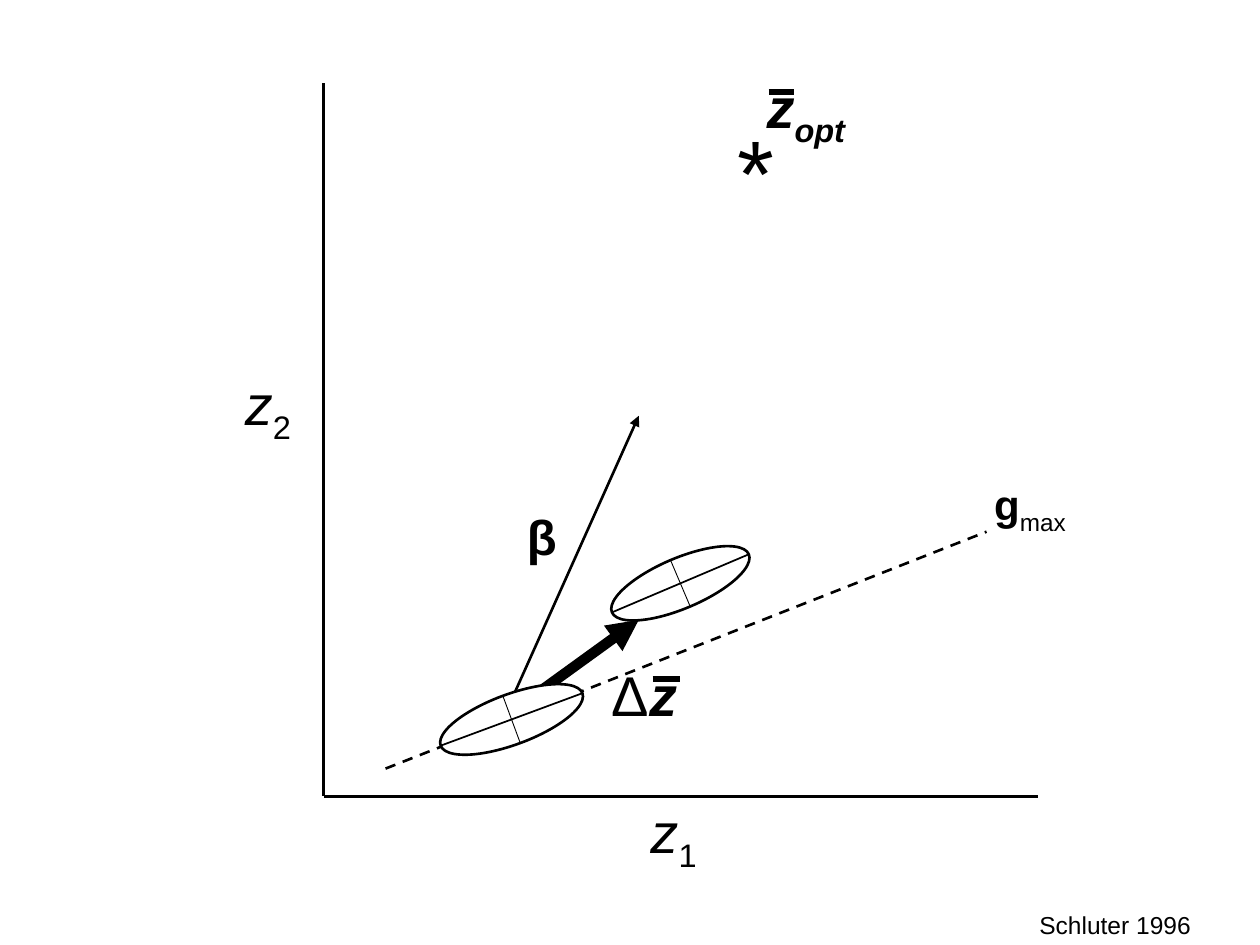
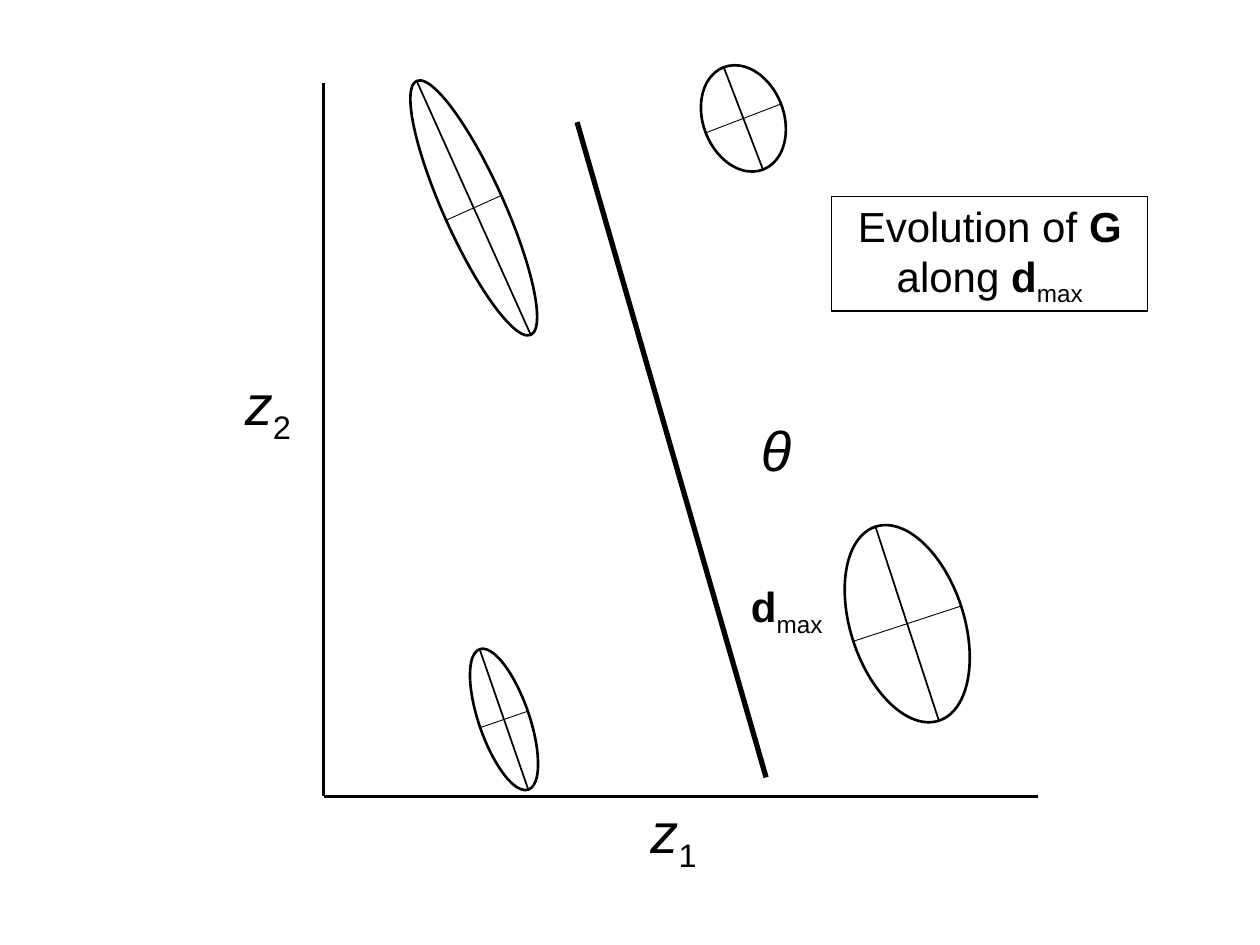
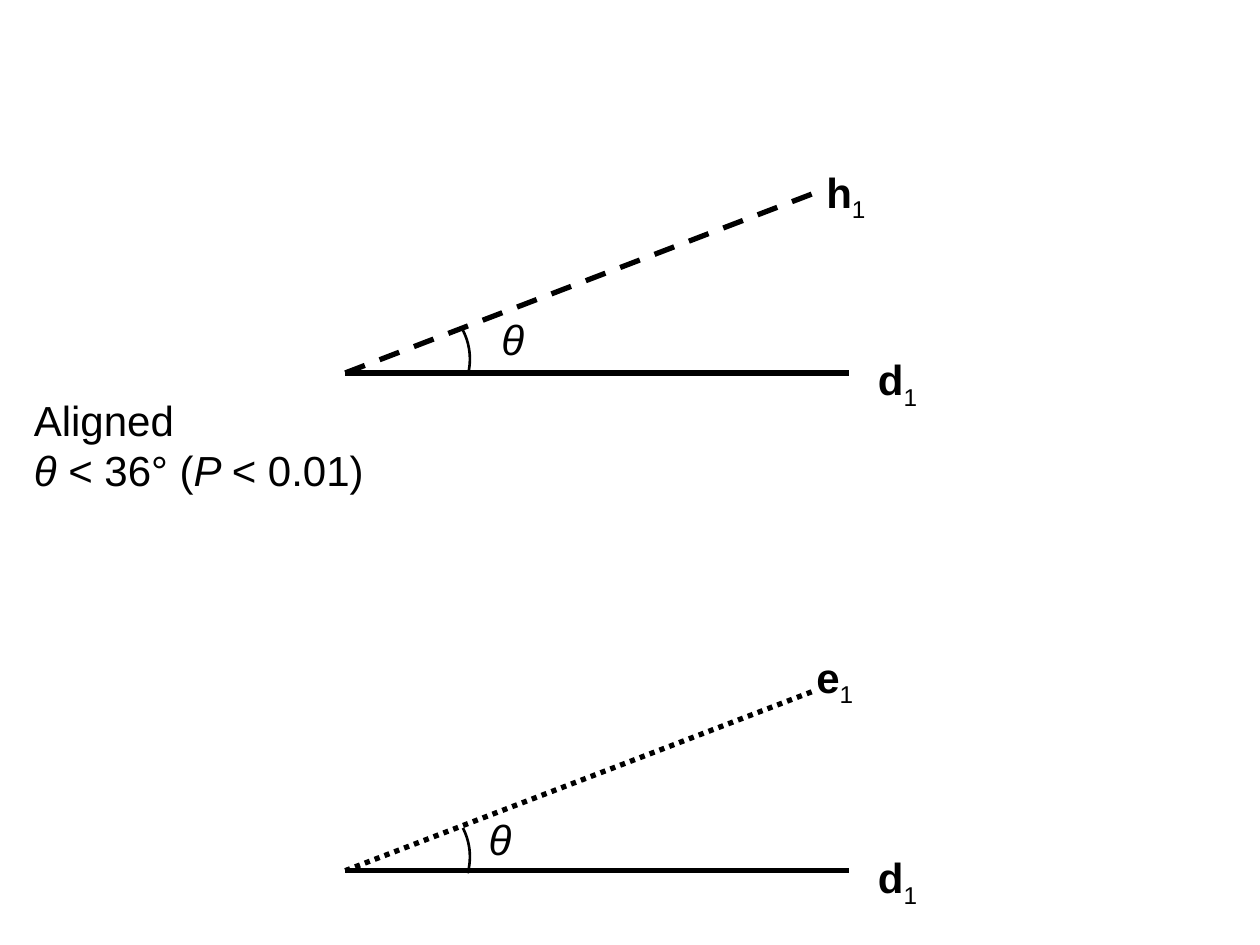
from math import cos, radians, sin

from lxml.etree import SubElement
from pptx import Presentation
from pptx.dml.color import RGBColor
from pptx.enum.dml import MSO_LINE as Dash
from pptx.enum.shapes import MSO_CONNECTOR as Connector, MSO_SHAPE as Preset
from pptx.enum.text import MSO_AUTO_SIZE as AutoSize, PP_ALIGN as Align
from pptx.oxml.ns import qn
from pptx.util import Inches, Pt

BLACK = RGBColor(0, 0, 0)
WHITE = RGBColor(255, 255, 255)
FONT = "Arial"
SUBSCRIPT = "-25000"

# Content shared by the two trait-space slides: (text, style) runs,
# where style letters are b bold, i italic, s subscript
AXES = [((2.57, 0.66), (2.57, 6.32)), ((2.57, 6.32), (8.24, 6.32))]
AXIS_LABELS = [
    ((5.05, 6.28, 0.59, 0.64), [("z", "i"), ("1", "s")]),
    ((1.83, 2.88, 0.59, 0.64), [("z", "i"), ("2", "s")]),
]

# Slide 1: response to selection; ellipses are (centre, size, rotation)
ANCESTOR = ((4.06, 5.71), (1.2, 0.4), -20.3)
DESCENDANT = ((5.4, 4.63), (1.18, 0.4), -23)
BETA_ARROW = ((3.99, 5.71), (5.07, 3.3))
RESPONSE_ARROW = ((3.95, 5.73), (5.07, 4.92))
GMAX_LINE = ((3.06, 6.1), (7.83, 4.22))
MEAN_LABELS = [  # box, runs, bar over the z
    ((5.95, 0.53, 0.89, 0.64), [("z", "bi"), ("opt", "bis")],
     ((6.1, 0.73), (6.3, 0.73))),
    ((4.75, 5.19, 0.73, 0.64), [("Δ", ""), ("z", "bi")],
     ((5.18, 5.39), (5.4, 5.39))),
]
SELECTION_LABELS = [  # box, runs, size
    ((3.93, 3.97, 0.74, 0.57), [("β", "b")], 28),
    ((5.75, 0.85, 0.5, 1.01), [("*", "")], 54),
    ((7.76, 3.75, 0.83, 0.5), [("g", "b"), ("max", "s")], 24),
]
CITATION = ((7.64, 7.2, 2.42, 0.3), [("Schluter 1996", "")])

# Slide 2: evolution of G along dmax
POPULATIONS = [
    ((4, 5.71), (1.18, 0.4), 70.9),
    ((3.76, 1.65), (2.21, 0.48), 65.8),
    ((5.9, 0.94), (0.87, 0.64), 69),
    ((7.2, 4.95), (1.62, 0.9), 71.9),
]
DMAX_LINE = ((4.58, 0.97), (6.08, 6.17))
DMAX_LABEL = ((5.83, 4.56, 0.83, 0.5), [("d", "b"), ("max", "s")])
THETA = [("θ", "i")]
THETA_BOX = (5.94, 3.25, 0.45, 0.64)
CAPTION = ((6.6, 1.56, 2.51, 0.91),
           [("Evolution of ", ""), ("G ", "b"), ("along ", ""), ("d", "b"), ("max", "s")])

# Slide 3: angles between vectors
ANGLES = [  # baseline height, dash, vector, vector label box, theta position
    (2.96, Dash.DASH, "h", (6.46, 1.27, 0.53, 0.5), (3.88, 2.44)),
    (6.91, Dash.ROUND_DOT, "e", (6.38, 5.12, 0.51, 0.5), (3.78, 6.41)),
]
VERTEX, BASE_END, VECTOR_END, RISE = 2.74, 6.74, 6.47, 1.43
ARC_DEGREES = (342.54, 24.88)
ALIGNED_BOX = (0.17, 3.08, 2.84, 0.91)
ALIGNED = [
    [("Aligned", "")],
    [("θ ", "i"), ("< 36° (", ""), ("P ", "i"), ("< 0.01)", "")],
]


def inches(values):
    return [Inches(value) for value in values]


def write(frame, paragraphs, size, align, wrap):
    frame.word_wrap = wrap
    frame.auto_size = AutoSize.SHAPE_TO_FIT_TEXT
    for number, runs in enumerate(paragraphs):
        paragraph = frame.add_paragraph() if number else frame.paragraphs[0]
        paragraph.alignment = align
        for text, style in runs:
            run = paragraph.add_run()
            run.text = text
            run.font.name = FONT
            run.font.size = Pt(size)
            run.font.color.rgb = BLACK
            run.font.bold = "b" in style
            run.font.italic = "i" in style
            if "s" in style:
                run.font._element.set("baseline", SUBSCRIPT)


def add_label(shapes, box, *paragraphs, size=24, align=Align.CENTER, wrap=False):
    label = shapes.add_textbox(*inches(box))
    write(label.text_frame, paragraphs, size, align, wrap)
    return label


def add_line(shapes, ends, width, dash=None, arrow=False):
    start, end = ends
    line = shapes.add_connector(Connector.STRAIGHT, *inches(start + end))
    line.line.color.rgb = BLACK
    line.line.width = Pt(width)
    if dash:
        line.line.dash_style = dash
    if arrow:
        SubElement(line.line._get_or_add_ln(), qn("a:tailEnd"), type="triangle")
    SubElement(line._element.spPr, qn("a:effectLst"))


def add_outline(shapes, preset, box, width, fill=None):
    outline = shapes.add_shape(preset, *inches(box))
    outline.shadow.inherit = False
    outline.line.color.rgb = BLACK
    outline.line.width = Pt(width)
    if fill is None:
        outline.fill.background()
    else:
        outline.fill.solid()
        outline.fill.fore_color.rgb = fill
    return outline


def add_ellipse(slide, centre, size, rotation):
    """Draw a G ellipse with its major and minor axes."""
    shapes = slide.shapes.add_group_shape().shapes
    x, y = centre
    length, breadth = size
    ellipse = add_outline(shapes, Preset.OVAL,
                          (x - length / 2, y - breadth / 2, length, breadth), 1.5, WHITE)
    ellipse.rotation = rotation
    for diameter, turn, width in ((length, 0, 1), (breadth, 90, 0.5)):
        angle = radians(rotation + turn)
        dx, dy = diameter / 2 * cos(angle), diameter / 2 * sin(angle)
        add_line(shapes, ((x - dx, y - dy), (x + dx, y + dy)), width)


def add_trait_axes(slide):
    shapes = slide.shapes.add_group_shape().shapes
    for axis in AXES:
        add_line(shapes, axis, 1.5)
    for box, runs in AXIS_LABELS:
        add_label(slide.shapes, box, runs, size=32)


def build_selection(slide):
    shapes = slide.shapes
    citation = add_label(shapes, *CITATION, size=14)
    citation.text_frame.paragraphs[0].line_spacing = 0.9
    add_line(shapes, BETA_ARROW, 1.5, arrow=True)
    add_trait_axes(slide)
    for box, runs, bar in MEAN_LABELS:
        mean = shapes.add_group_shape().shapes
        add_label(mean, box, runs, size=32)
        add_line(mean, bar, 3)
    for box, runs, size in SELECTION_LABELS:
        add_label(shapes, box, runs, size=size, wrap=size == 28)
    add_line(shapes, GMAX_LINE, 1.5, Dash.DASH)
    add_ellipse(slide, *DESCENDANT)
    add_line(shapes, RESPONSE_ARROW, 6, arrow=True)
    add_ellipse(slide, *ANCESTOR)


def build_evolution(slide):
    shapes = slide.shapes
    add_trait_axes(slide)
    for population in POPULATIONS:
        add_ellipse(slide, *population)
    add_line(shapes, DMAX_LINE, 3)
    add_label(shapes, THETA_BOX, THETA, size=32, align=Align.LEFT)
    box, runs = CAPTION
    caption = add_outline(shapes, Preset.RECTANGLE, box, 0.75)
    write(caption.text_frame, [runs], 24, Align.CENTER, True)
    add_label(shapes, *DMAX_LABEL)


def build_angles(slide):
    for base, dash, vector, vector_box, theta_at in ANGLES:
        shapes = slide.shapes.add_group_shape().shapes
        vertex = (VERTEX, base)
        add_line(shapes, (vertex, (BASE_END, base)), 3)
        add_line(shapes, (vertex, (VECTOR_END, base - RISE)), 3, dash)
        arc = add_outline(shapes, Preset.ARC, (2.73, base - 0.61, 1, 1), 1.5)
        arc.rotation = -9.7
        for index, degrees in enumerate(ARC_DEGREES):
            arc.adjustments[index] = degrees * 0.6  # 60000ths of a degree / 100000
        for name, box in (("d", (6.87, base - 0.2, 0.53, 0.5)), (vector, vector_box)):
            add_label(shapes, box, [(name, "b"), ("1", "s")], align=Align.LEFT)
        add_label(slide.shapes, theta_at + (0.38, 0.5), THETA, align=Align.LEFT)
    add_label(slide.shapes, ALIGNED_BOX, *ALIGNED, align=Align.LEFT)


def main():
    deck = Presentation()
    deck.slide_width, deck.slide_height = Inches(10), Inches(7.5)
    blank = deck.slide_layouts[6]
    for build in (build_selection, build_evolution, build_angles):
        build(deck.slides.add_slide(blank))
    deck.save("out.pptx")


if __name__ == "__main__":
    main()
